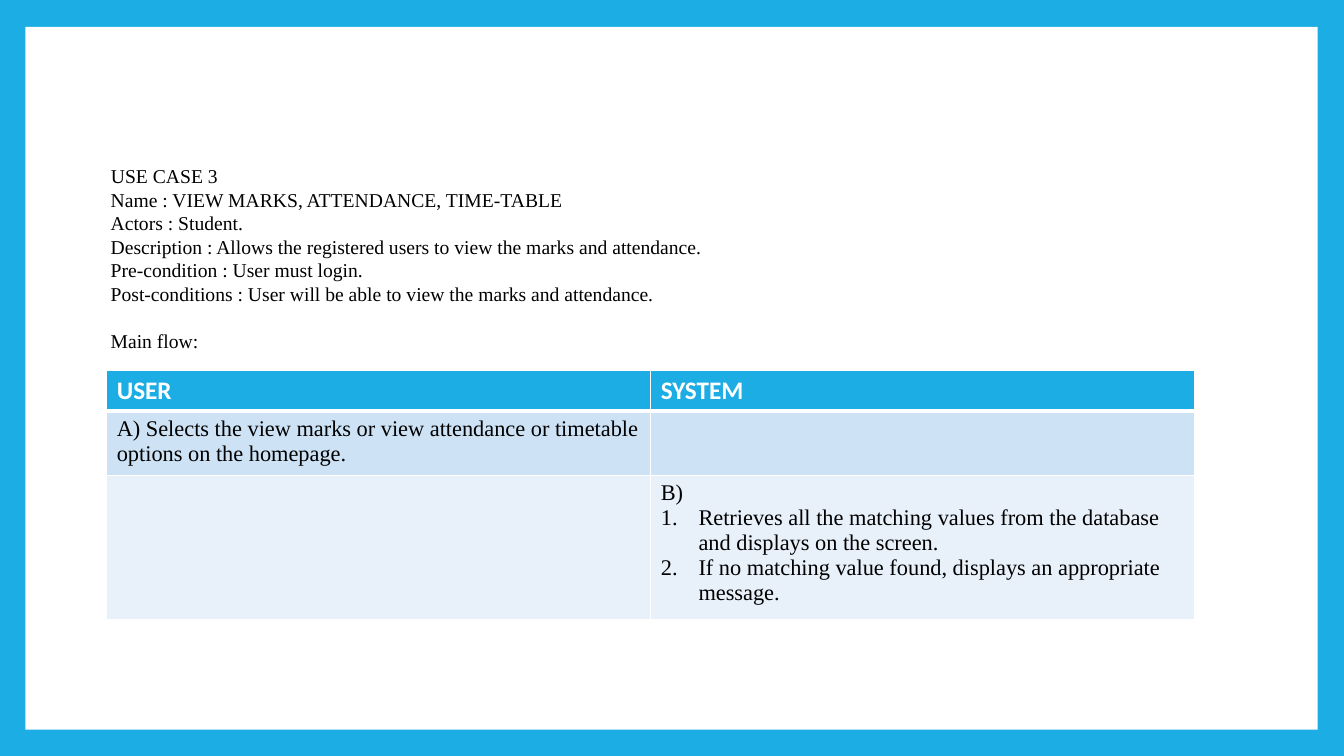
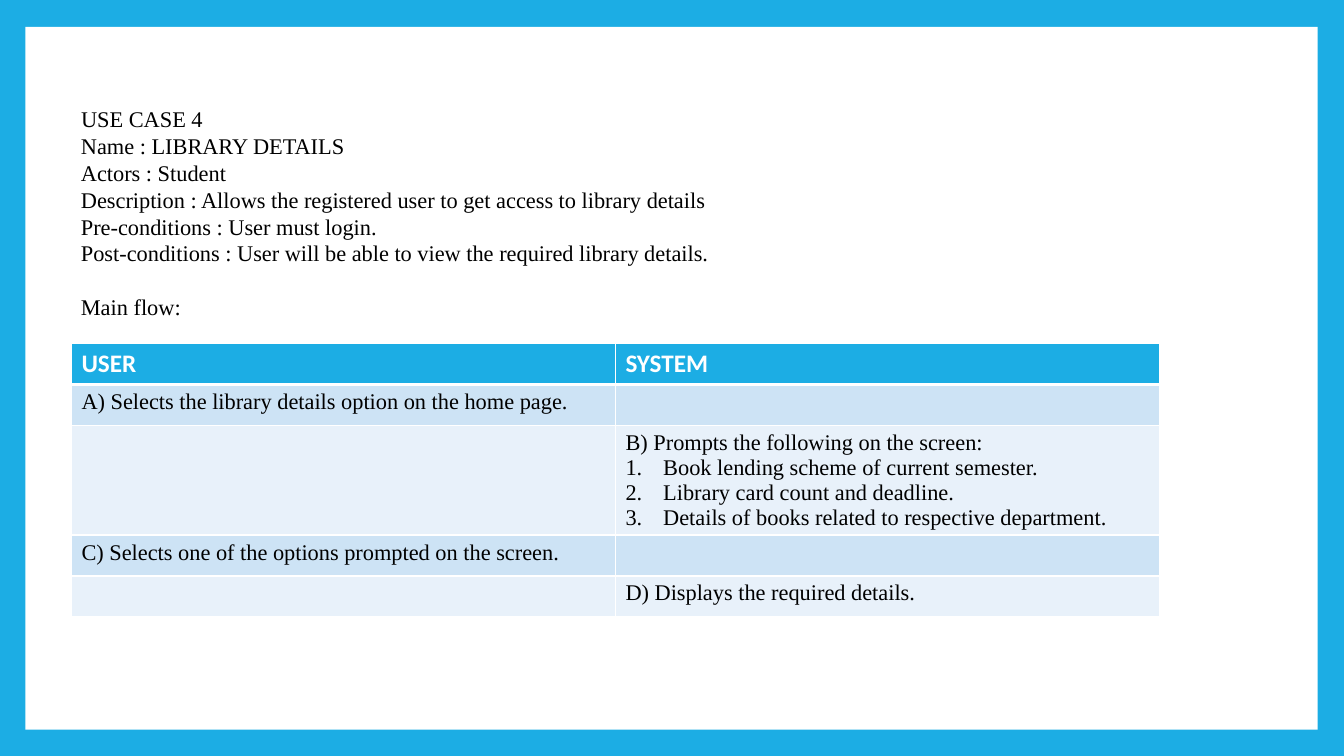
"""Build two use case slides, each with a summary and a main flow table."""
from dataclasses import dataclass

from lxml.etree import SubElement as Sub
from pptx import Presentation
from pptx.dml.color import RGBColor as RGB
from pptx.enum.shapes import MSO_SHAPE as Shape
from pptx.enum.text import MSO_ANCHOR as Anchor, MSO_AUTO_SIZE as Auto, PP_ALIGN as Align
from pptx.oxml.ns import qn
from pptx.util import Cm, Pt


@dataclass(frozen=True)
class Theme:
    blue: RGB = RGB(0x1C, 0xAD, 0xE4)
    white: RGB = RGB(0xFF, 0xFF, 0xFF)
    black: RGB = RGB(0x00, 0x00, 0x00)
    bands: tuple = (RGB(0xCD, 0xE3, 0xF5), RGB(0xE8, 0xF1, 0xFA))
    serif: str = "Times New Roman"
    sans: str = "Calibri"
    head: int = 18
    cell: int = 16
    lead: float = 1.2
    rule: int = 3


theme = Theme()
inset = Cm(0.13)
column = Cm(13.71)
heads = ("USER", "SYSTEM")

cases = [
    {
        "title": "USE CASE 3",
        "at": (2.54, 4.0, 26.44),
        "size": 14,
        "lines": [
            "Name : VIEW MARKS, ATTENDANCE, TIME-TABLE",
            "Actors : Student.",
            "Description : Allows the registered users to view the marks and attendance.",
            "Pre-condition : User must login.",
            "Post-conditions : User will be able to view the marks and attendance.",
            "Main flow:",
        ],
        "grid": (2.69, 9.33),
        "rows": [
            (1.63, "A) Selects the view marks or view attendance or timetable "
                   "options on the homepage.", ""),
            (3.62, "", "B)\n"
                       "Retrieves all the matching values from the database "
                       "and displays on the screen.\n"
                       "If no matching value found, displays an appropriate message."),
        ],
    },
    {
        "title": "USE CASE 4",
        "at": (1.79, 2.52, 21.97),
        "size": 16,
        "lines": [
            "Name : LIBRARY DETAILS",
            "Actors : Student",
            "Description : Allows the registered user to get access to library details",
            "Pre-conditions : User must login.",
            "Post-conditions : User will be able to view the required library details.",
            "Main flow:",
        ],
        "grid": (1.8, 8.66),
        "rows": [
            (1.03, "A) Selects the library details option on the home page.", ""),
            (2.74, "", "B) Prompts the following on the screen:\n"
                       "Book lending scheme of current semester.\n"
                       "Library card count and deadline.\n"
                       "Details of books related to respective department."),
            (1.03, "C) Selects one of the options prompted on the screen.", ""),
            (1.03, "", "D) Displays the required details."),
        ],
    },
]


def style(frame, font, size, color, bold=False, line=None):
    for para in frame.paragraphs:
        para.alignment = Align.LEFT
        para.line_spacing = line
        for run in para.runs:
            run.font.name = font
            run.font.size = Pt(size)
            run.font.bold = bold
            run.font.color.rgb = color


def number(para):
    props = para._p.get_or_add_pPr()
    props.set("marL", str(Cm(0.95)))
    props.set("indent", str(-Cm(0.95)))
    Sub(props, qn("a:buFont"), typeface="+mj-lt")
    Sub(props, qn("a:buAutoNum"), type="arabicPeriod")


deck = Presentation()
deck.slide_width = Cm(33.87)
deck.slide_height = Cm(19.05)
back = deck.slide_master.background.fill
back.solid()
back.fore_color.rgb = theme.blue

for case in cases:
    slide = deck.slides.add_slide(deck.slide_layouts[5])
    title = slide.shapes.title

    panel = slide.shapes.add_shape(
        Shape.RECTANGLE, Cm(0.64), Cm(0.68), Cm(32.57), Cm(17.71))
    panel.shadow.inherit = False
    panel.fill.solid()
    panel.fill.fore_color.rgb = theme.white
    panel.line.fill.background()
    title.element.addprevious(panel.element)

    left, top, width = (Cm(side) for side in case["at"])
    size = case["size"]
    line = Pt(size * theme.lead)
    title.left, title.top = left, top
    title.width, title.height = width, inset + line
    body = slide.shapes.add_textbox(
        left, top + inset + line, width, line * (len(case["lines"]) + 1) + inset)
    for box, text in ((title, case["title"]), (body, "\n".join(case["lines"]))):
        frame = box.text_frame
        frame.text = text
        frame.word_wrap = True
        frame.auto_size = Auto.NONE
        frame.vertical_anchor = Anchor.TOP
        frame.margin_top = frame.margin_bottom = 0
        style(frame, theme.serif, size, theme.black, line=line)
    title.text_frame.margin_top = inset
    body.text_frame.paragraphs[-1].space_before = line

    rows = [(1.03, *heads), *case["rows"]]
    x, y = (Cm(side) for side in case["grid"])
    high = Cm(sum(row[0] for row in rows))
    table = slide.shapes.add_table(len(rows), 2, x, y, column * 2, high).table
    for r, (tall, *texts) in enumerate(rows):
        table.rows[r].height = Cm(tall)
        for c, text in enumerate(texts):
            cell = table.cell(r, c)
            cell.fill.solid()
            cell.fill.fore_color.rgb = theme.bands[(r - 1) % 2] if r else theme.blue
            if not text:
                continue
            frame = cell.text_frame
            frame.text = text
            if r:
                style(frame, theme.serif, theme.cell, theme.black)
            else:
                style(frame, theme.sans, theme.head, theme.white, bold=True)
                props = cell._tc.get_or_add_tcPr()
                edge = Sub(props, qn("a:lnB"), w=str(Pt(theme.rule)))
                Sub(Sub(edge, qn("a:solidFill")), qn("a:srgbClr"), val=str(theme.white))
                props.insert(0, edge)
            for para in frame.paragraphs[1:]:
                number(para)

deck.save("out.pptx")
